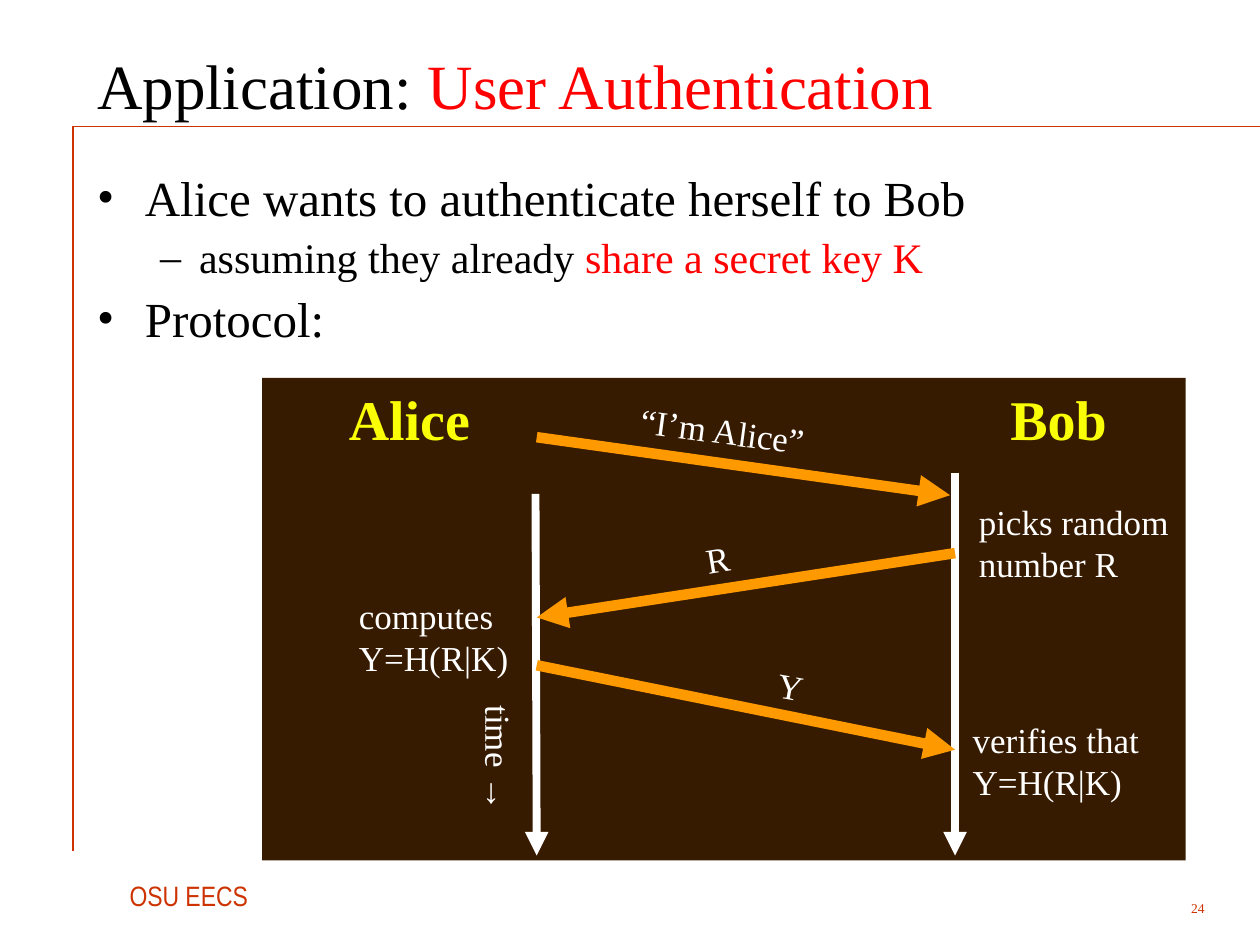
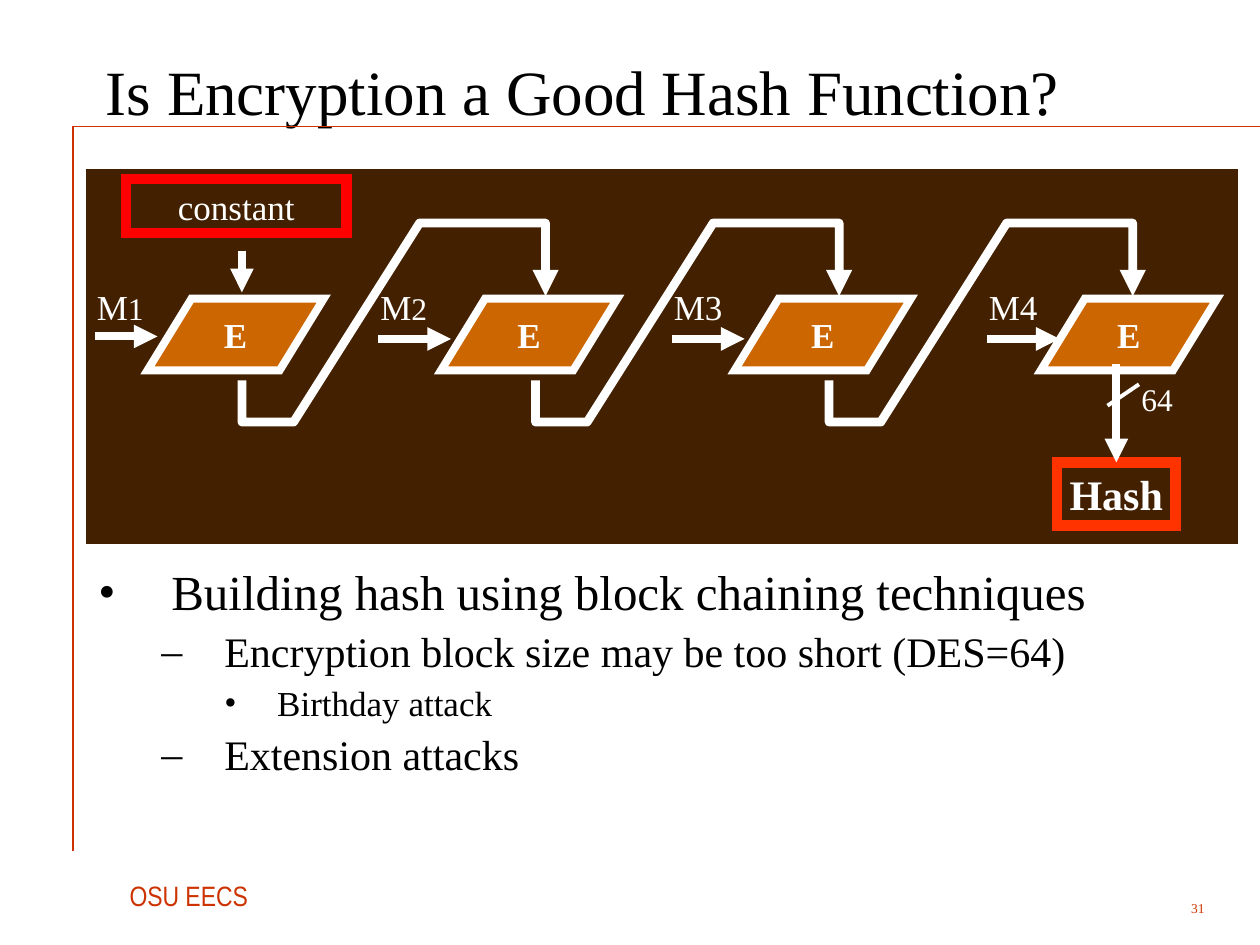
from dataclasses import dataclass

from lxml import etree
from pptx import Presentation
from pptx.dml.color import RGBColor
from pptx.enum.shapes import MSO_CONNECTOR, MSO_SHAPE
from pptx.enum.text import MSO_ANCHOR as Anchor, MSO_AUTO_SIZE as AutoSize, PP_ALIGN as Align
from pptx.oxml.ns import qn
from pptx.util import Inches, Pt

COLORS = {
    "text": "000000", "accent": "FF0000", "brand": "CC3300", "white": "FFFFFF",
    "protocol": "371B00", "chain": "432100", "name": "FAFF07",
    "message": "FF9900", "cipher": "CC6600", "hash": "FF3300",
}
SERIF = "Times New Roman"
# Per list level: bullet, size, space before
LEVELS = [("•", 28, 7), ("–", 24, 6), ("•", 20, 5)]


@dataclass
class Box:
    left: float
    top: float
    width: float
    height: float

    def inner(self, left, top, width, height):
        """Box given relative to this one."""
        return Box(self.left + left, self.top + top, width, height)

    def point(self, left, top):
        return Inches(self.left + left), Inches(self.top + top)

    def lengths(self):
        return [Inches(v) for v in (self.left, self.top, self.width, self.height)]


def rgb(name):
    return RGBColor.from_string(COLORS[name])


# ---- Text ----
def set_font(font, size=None, color=None, name=None, bold=None):
    if size:
        font.size = Pt(size)
    if color:
        font.color.rgb = rgb(color)
    if name:
        font.name = name
    if bold is not None:
        font.bold = bold


def write(para, content, size, color, name=SERIF, bold=False):
    """Content is a string, or a list of (text, font changes) spans."""
    set_font(para.font, size, color, name, bold)
    if isinstance(content, str):
        para.text = content
        return
    for text, changes in content:
        span = para.add_run()
        span.text = text
        set_font(span.font, **changes)


def fill_frame(shape, content, size=20, color="white", name=SERIF, bold=False,
               align=Align.LEFT, anchor=Anchor.TOP, wrap=True):
    frame = shape.text_frame
    frame.auto_size = AutoSize.NONE
    frame.word_wrap = wrap
    frame.vertical_anchor = anchor
    para = frame.paragraphs[0]
    para.alignment = align
    write(para, content, size, color, name, bold)


def add_label(page, box, content, rotation=0, **style):
    label = page.shapes.add_textbox(*box.lengths())
    label.rotation = rotation
    fill_frame(label, content, **style)


# ---- Shapes and lines ----
def set_line(shape, color, width, join=None, arrow=False):
    shape.line.color.rgb = rgb(color)
    shape.line.width = Pt(width)
    line = shape.line._get_or_add_ln()
    if join:
        etree.SubElement(line, qn("a:" + join))
    if arrow:
        etree.SubElement(line, qn("a:tailEnd"), type="triangle")


def add_block(page, box, kind=MSO_SHAPE.RECTANGLE, fill=None, line=None, width=0):
    block = page.shapes.add_shape(kind, *box.lengths())
    block.shadow.inherit = False
    if fill:
        block.fill.solid()
        block.fill.fore_color.rgb = rgb(fill)
    else:
        block.fill.background()
    if line:
        set_line(block, line, width, "miter")
    else:
        block.line.fill.background()
    return block


def add_line(page, start, end, color="white", width=4.5, arrow=True):
    line = page.shapes.add_connector(MSO_CONNECTOR.STRAIGHT, *start, *end)
    set_line(line, color, width, arrow=arrow)
    etree.SubElement(line._element.spPr, qn("a:effectLst"))
    return line


# ---- Parts shared by the slides ----
def add_page(deck, number, title, title_box):
    page = deck.slides.add_slide(deck.slide_layouts[1])
    frame_box = Box(0.58, 1, 9.42, 5.75)
    corner = frame_box.point(0, 0)
    add_line(page, corner, frame_box.point(9.42, 0), "brand", 0.25, False)
    add_line(page, corner, frame_box.point(0, 5.75), "brand", 0.75, False)
    add_label(page, Box(0.93, 6.92, 1.19, 0.37), "OSU EECS", size=16,
              color="brand", name="Arial Narrow", wrap=False)
    add_label(page, Box(8.83, 7.08, 0.83, 0.25), str(number), size=7.7,
              color="brand", align=Align.RIGHT, anchor=Anchor.MIDDLE)
    move(page.shapes.title, title_box)
    fill_frame(page.shapes.title, title, 36, "text", anchor=Anchor.MIDDLE)
    return page


def move(shape, box):
    shape.left, shape.top, shape.width, shape.height = box.lengths()


def fill_list(page, box, indents, items):
    """Indents hold (text margin, hanging) per level; items (level, content)."""
    body = page.placeholders[1]
    move(body, box)
    frame = body.text_frame
    frame.auto_size = AutoSize.NONE
    for index, (level, content) in enumerate(items):
        para = frame.add_paragraph() if index else frame.paragraphs[0]
        bullet, size, space = LEVELS[level]
        margin, hanging = indents[level]
        para.level = level
        para.line_spacing = 0.9
        para.space_before = Pt(space if index else 0)
        props = para._p.get_or_add_pPr()
        props.set("marL", str(Inches(margin)))
        props.set("indent", str(-Inches(hanging)))
        bullet_color = etree.SubElement(props, qn("a:buClr"))
        etree.SubElement(bullet_color, qn("a:srgbClr"), val=COLORS["text"])
        etree.SubElement(props, qn("a:buFont"), typeface=SERIF)
        etree.SubElement(props, qn("a:buChar"), char=bullet)
        write(para, content, size, "text")


# ---- Slide 1: protocol between two parties ----
def draw_protocol(page, box):
    add_block(page, box, fill="protocol")

    # Parties and their time lines
    for name, left, width in [("Alice", 0.59, 1.33), ("Bob", 5.84, 1.26)]:
        add_label(page, box.inner(left, 0, width, 0.64), name, size=32,
                  color="name", bold=True)
    for start, end in [((2.17, 0.92), (2.18, 3.79)), ((5.5, 0.75), (5.5, 3.79))]:
        add_line(page, box.point(*start), box.point(*end))

    # Messages
    messages = [((2.18, 0.47), (5.46, 0.93)),
                ((5.5, 1.39), (2.18, 1.9)),
                ((2.18, 2.28), (5.5, 2.95))]
    for start, end in messages:
        add_line(page, box.point(*start), box.point(*end), "message", 6)

    # Labels: left, top, width, rotation, text
    labels = [
        (1.34, 2.82, 1.08, 90, [("time ", {}), ("→", {"name": "Arial"})]),
        (2.9, 0.22, 1.85, 7.6, "“I’m Alice”"),
        (3.42, 1.17, 1.01, 350.4, "R"),
        (3.99, 2.28, 1.01, 10.2, "Y"),
        (5.59, 0.92, 2.1, 0, "picks random\vnumber R"),
        (0.67, 1.67, 1.64, 0, "computes\vY=H(R|K)"),
        (5.54, 2.65, 1.89, 0, "verifies that\vY=H(R|K)"),
    ]
    for left, top, width, rotation, content in labels:
        height = 0.77 if "\v" in content else 0.44
        add_label(page, box.inner(left, top, width, height), content, rotation)


# ---- Slide 2: chain of encryption blocks ----
def draw_link(page, box):
    """Line from under one block to the top of the next."""
    builder = page.shapes.build_freeform(*box.point(0, 1.25))
    corners = [(0, 1.58), (0.41, 1.58), (1.41, 0), (2.41, 0), (2.41, 0.58)]
    builder.add_line_segments([box.point(*corner) for corner in corners], close=False)
    link = builder.convert_to_shape()
    link.shadow.inherit = False
    link.fill.background()
    set_line(link, "white", 5, "round", arrow=True)


def draw_chain(page, box):
    add_block(page, box, fill="chain", line="white", width=2.25)

    # Stages: block left, message left, arrow length, arrow top, digit size
    stages = [(0.5, 0, 0.5, 1.34, 18), (2.83, 2.25, 0.58, 1.36, 18),
              (5.16, 4.58, 0.58, 1.36, 20), (7.59, 7.08, 0.58, 1.36, 20)]
    for number, (left, message, length, top, size) in enumerate(stages, 1):
        block = add_block(page, box.inner(left, 1.04, 1.4, 0.57),
                          MSO_SHAPE.PARALLELOGRAM, "cipher", "white", 4.5)
        block.adjustments[0] = 0.614
        fill_frame(block, "E", bold=True, align=Align.CENTER,
                   anchor=Anchor.MIDDLE, wrap=False)
        add_label(page, box.inner(message, 0.89, 0.67, 0.44),
                  [("M", {}), (str(number), {"size": size})])
        add_line(page, box.point(message + 0.08, top),
                 box.point(message + 0.08 + length, top))
    for index in range(len(stages) - 1):
        draw_link(page, box.inner(1.25 + 2.33 * index, 0.44, 2.41, 1.58))

    # Starting value
    constant = add_block(page, box.inner(0.33, 0.09, 1.75, 0.43), line="accent", width=6)
    fill_frame(constant, "constant", align=Align.CENTER)
    add_line(page, box.point(1.25, 0.66), box.point(1.25, 0.99))

    # Result with its width in bits
    result = add_block(page, box.inner(7.72, 2.34, 0.94, 0.5), line="hash", width=6)
    fill_frame(result, "Hash", size=24, bold=True, wrap=False)
    output = add_line(page, box.point(8.19, 1.56), box.point(8.19, 2.34))
    output.end_connect(result, 0)
    add_line(page, box.point(8.12, 1.89), box.point(8.37, 1.72), width=2.25, arrow=False)
    add_label(page, box.inner(8.29, 1.64, 0.45, 0.4), "64", size=18, wrap=False)


def build_authentication(deck):
    title = [("Application: ", {}), ("User Authentication", {"color": "accent"})]
    page = add_page(deck, 24, title, Box(0.67, 0.17, 9.01, 1))
    fill_list(page, Box(0.67, 1.33, 9.03, 1.58), [(0.38, 0.38), (0.81, 0.31)], [
        (0, "Alice wants to authenticate herself to Bob"),
        (1, [("assuming they already ", {}),
             ("share a secret key K", {"color": "accent"})]),
        (0, "Protocol:"),
    ])
    draw_protocol(page, Box(2.08, 3, 7.33, 3.83))


def build_hash(deck):
    page = add_page(deck, 31, "Is Encryption a Good Hash Function?",
                    Box(0.74, 0.31, 8.55, 0.82))
    draw_chain(page, Box(0.67, 1.33, 9.17, 3))
    indents = [(0.58, 0.58), (1, 0.5), (1.42, 0.42)]
    fill_list(page, Box(0.68, 4.46, 9.15, 2.46), indents, [
        (0, "Building hash using block chaining techniques"),
        (1, "Encryption block size may be too short (DES=64)"),
        (2, "Birthday attack"),
        (1, "Extension attacks"),
    ])


def main():
    deck = Presentation()
    deck.slide_width, deck.slide_height = Inches(10), Inches(7.5)
    build_authentication(deck)
    build_hash(deck)
    deck.save("out.pptx")


if __name__ == "__main__":
    main()
